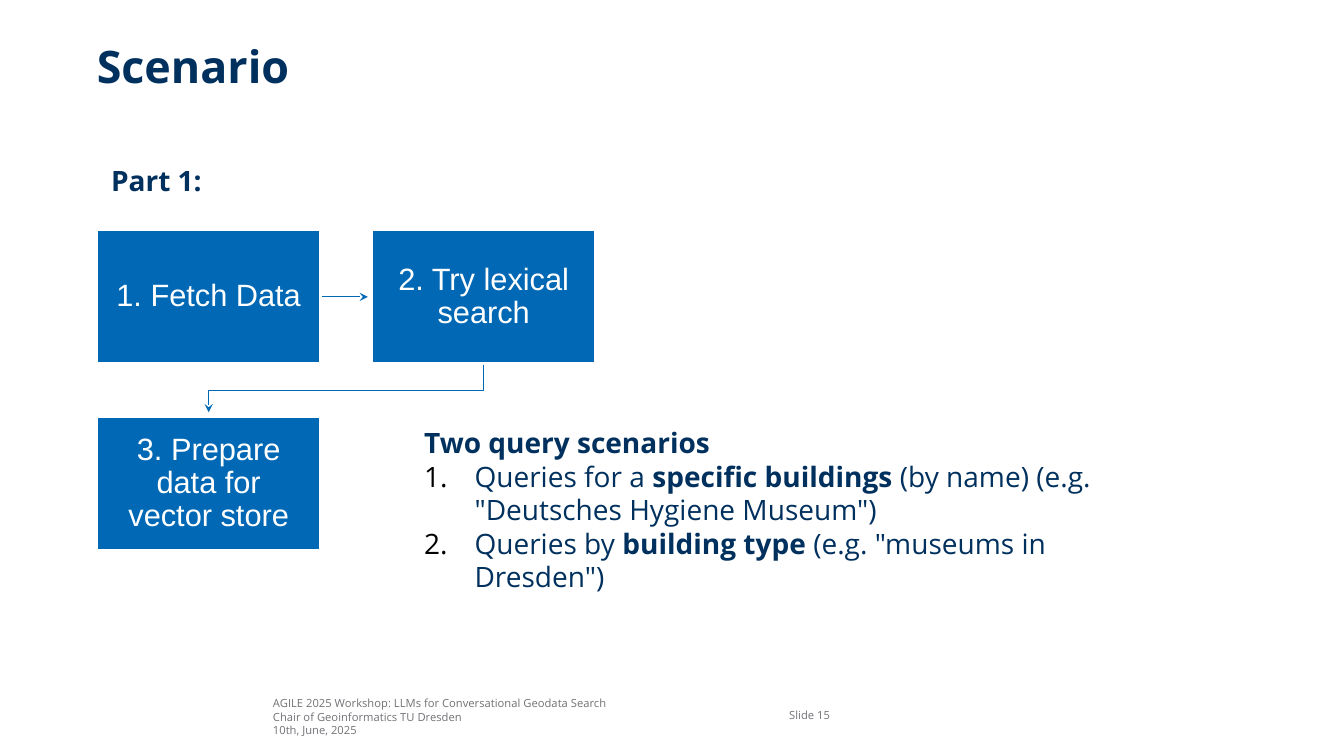
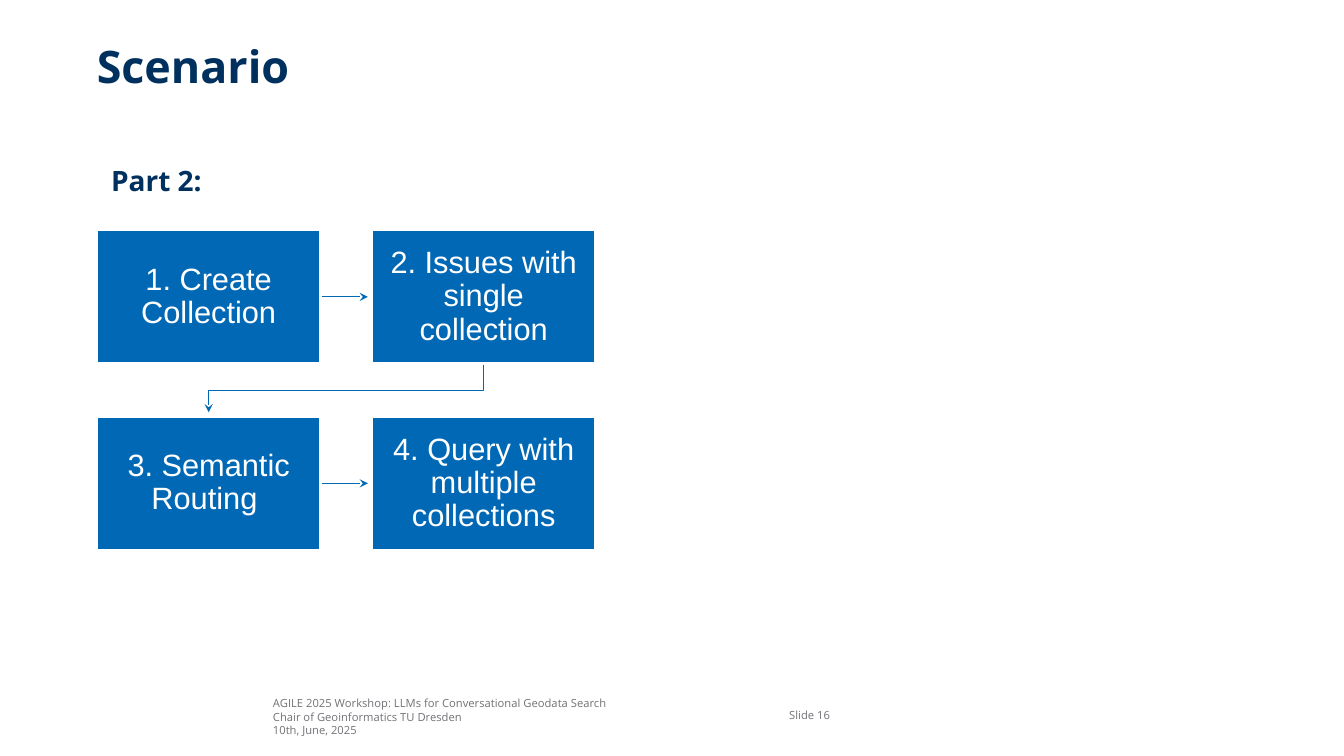
from lxml.etree import SubElement
from pptx import Presentation
from pptx.dml.color import RGBColor
from pptx.enum.shapes import MSO_CONNECTOR, MSO_SHAPE
from pptx.enum.text import MSO_ANCHOR, PP_ALIGN
from pptx.oxml.ns import qn
from pptx.util import Cm, Pt

NAVY = RGBColor(0x00, 0x30, 0x5D)
BLUE = RGBColor(0x00, 0x68, 0xB4)
GREY = RGBColor(0x72, 0x72, 0x77)
WHITE = RGBColor(0xFF, 0xFF, 0xFF)

# Step grid, in cm
LEFT, TOP = 2.44, 5.79
BOX_W, BOX_H = 5.64, 3.38
PITCH_X, PITCH_Y = 6.93, 4.7
COLUMNS, TIP_GAP = 2, 0.1

FOOTER = ["AGILE 2025 Workshop: LLMs for Conversational Geodata Search",
          "Chair of Geoinformatics TU Dresden",
          "10th, June, 2025"]


class Deck:
    """Holds the shared style and the current slide."""

    formats = {
        "title": ({"name": "Open Sans", "size": Pt(32), "bold": True}, NAVY),
        "body": ({"name": "Open Sans", "size": Pt(20), "bold": False}, NAVY),
        "strong": ({"name": "Open Sans", "size": Pt(20), "bold": True}, NAVY),
        "footer": ({"name": "Open Sans", "size": Pt(8)}, GREY),
        "step": ({"name": "Arial", "size": Pt(22)}, WHITE),
    }

    def __init__(self):
        self.prs = Presentation()
        self.prs.slide_width, self.prs.slide_height = Cm(33.87), Cm(19.05)
        self.s = None

    def add_slide(self, title, part, number):
        self.s = self.prs.slides.add_slide(self.prs.slide_layouts[6])
        self.text(LEFT, 0.97, 29.39, 1.9, [title], "title")
        self.text(LEFT + 0.36, 4.11, 29.03, 1, [part], "strong")
        # Footer
        self.text(6.88, 17.4, 12.45, 1.17, FOOTER, "footer", MSO_ANCHOR.BOTTOM)
        self.text(19.89, 17.8, 1.96, 0.39, [f"Slide {number}"], "footer",
                  MSO_ANCHOR.BOTTOM)

    def run(self, p, text, style):
        r = p.add_run()
        r.text = text
        values, color = self.formats[style]
        for key, value in values.items():
            setattr(r.font, key, value)
        r.font.color.rgb = color

    def frame(self, sp, anchor, inset_x=0, inset_y=0):
        tf = sp.text_frame
        values = {"word_wrap": True, "vertical_anchor": anchor,
                  "margin_left": Cm(inset_x), "margin_right": Cm(inset_x),
                  "margin_top": Cm(inset_y), "margin_bottom": Cm(inset_y)}
        for key, value in values.items():
            setattr(tf, key, value)
        return tf

    def text(self, x, y, w, h, lines, style, anchor=MSO_ANCHOR.TOP):
        sp = self.s.shapes.add_textbox(Cm(x), Cm(y), Cm(w), Cm(h))
        tf = self.frame(sp, anchor)
        for i, line in enumerate(lines):
            p = tf.add_paragraph() if i else tf.paragraphs[0]
            self.run(p, line, style)

    def numbered_list(self, x, y, w, h, heading, items):
        sp = self.s.shapes.add_textbox(Cm(x), Cm(y), Cm(w), Cm(h))
        tf = self.frame(sp, MSO_ANCHOR.TOP, 0.25, 0.13)
        self.run(tf.paragraphs[0], heading, "strong")
        for item in items:
            p = tf.add_paragraph()
            for text, style in item:
                self.run(p, text, style)
            # Black automatic number with a hanging indent
            pPr = p._p.get_or_add_pPr()
            pPr.set("marL", str(Cm(1.27)))
            pPr.set("indent", str(-Cm(1.27)))
            color = SubElement(pPr, qn("a:buClr"))
            SubElement(color, qn("a:srgbClr"), val="000000")
            SubElement(pPr, qn("a:buAutoNum"), type="arabicPeriod")

    def arrow_line(self, sp):
        sp.line.color.rgb = BLUE
        sp.line.width = Pt(0.75)
        SubElement(sp.line._get_or_add_ln(), qn("a:tailEnd"), type="stealth")

    def straight_arrow(self, x1, x2, y):
        sp = self.s.shapes.add_connector(MSO_CONNECTOR.STRAIGHT,
                                         Cm(x1), Cm(y), Cm(x2), Cm(y))
        self.arrow_line(sp)
        SubElement(sp._element.spPr, qn("a:effectLst"))

    def bent_arrow(self, points):
        start, *rest = [(Cm(x), Cm(y)) for x, y in points]
        outline = self.s.shapes.build_freeform(*start)
        outline.add_line_segments(rest, close=False)
        sp = outline.convert_to_shape()
        sp.fill.background()
        sp.shadow.inherit = False
        self.arrow_line(sp)

    def box(self, x, y, text):
        sp = self.s.shapes.add_shape(MSO_SHAPE.RECTANGLE, Cm(x), Cm(y),
                                     Cm(BOX_W), Cm(BOX_H))
        sp.shadow.inherit = False
        sp.fill.solid()
        sp.fill.fore_color.rgb = BLUE
        sp.line.color.rgb = WHITE
        sp.line.width = Pt(2)
        p = self.frame(sp, MSO_ANCHOR.MIDDLE, 0.43, 0.43).paragraphs[0]
        p.alignment = PP_ALIGN.CENTER
        p.line_spacing = 0.9
        self.run(p, text, "step")

    def steps(self, labels):
        places = [(LEFT + i % COLUMNS * PITCH_X, TOP + i // COLUMNS * PITCH_Y)
                  for i in range(len(labels))]
        # Arrows lie behind the boxes
        for (x1, y1), (x2, y2) in zip(places, places[1:]):
            if y1 == y2:
                self.straight_arrow(x1 + BOX_W, x2 - TIP_GAP, y1 + BOX_H / 2)
            else:
                start, end = x1 + BOX_W / 2, x2 + BOX_W / 2
                middle = (y1 + BOX_H + y2) / 2
                self.bent_arrow([(start, y1 + BOX_H), (start, middle),
                                 (end, middle), (end, y2 - TIP_GAP)])
        for (x, y), label in zip(places, labels):
            self.box(x, y, label)


def main():
    deck = Deck()

    # Part 1
    deck.add_slide("Scenario", "Part 1:", 15)
    deck.steps(["1. Fetch Data", "2. Try lexical search",
                "3. Prepare data for vector store"])
    deck.numbered_list(10.44, 10.59, 18.24, 5.38, "Two query scenarios", [
        [("Queries for a ", "body"), ("specific buildings ", "strong"),
         ('(by name) (e.g. "Deutsches Hygiene Museum")', "body")],
        [("Queries by ", "body"), ("building type ", "strong"),
         ('(e.g. "museums in Dresden")', "body")],
    ])

    # Part 2
    deck.add_slide("Scenario", "Part 2:", 16)
    deck.steps(["1. Create Collection", "2. Issues with single collection",
                "3. Semantic Routing ", "4. Query with multiple collections"])

    deck.prs.save("out.pptx")


if __name__ == "__main__":
    main()
